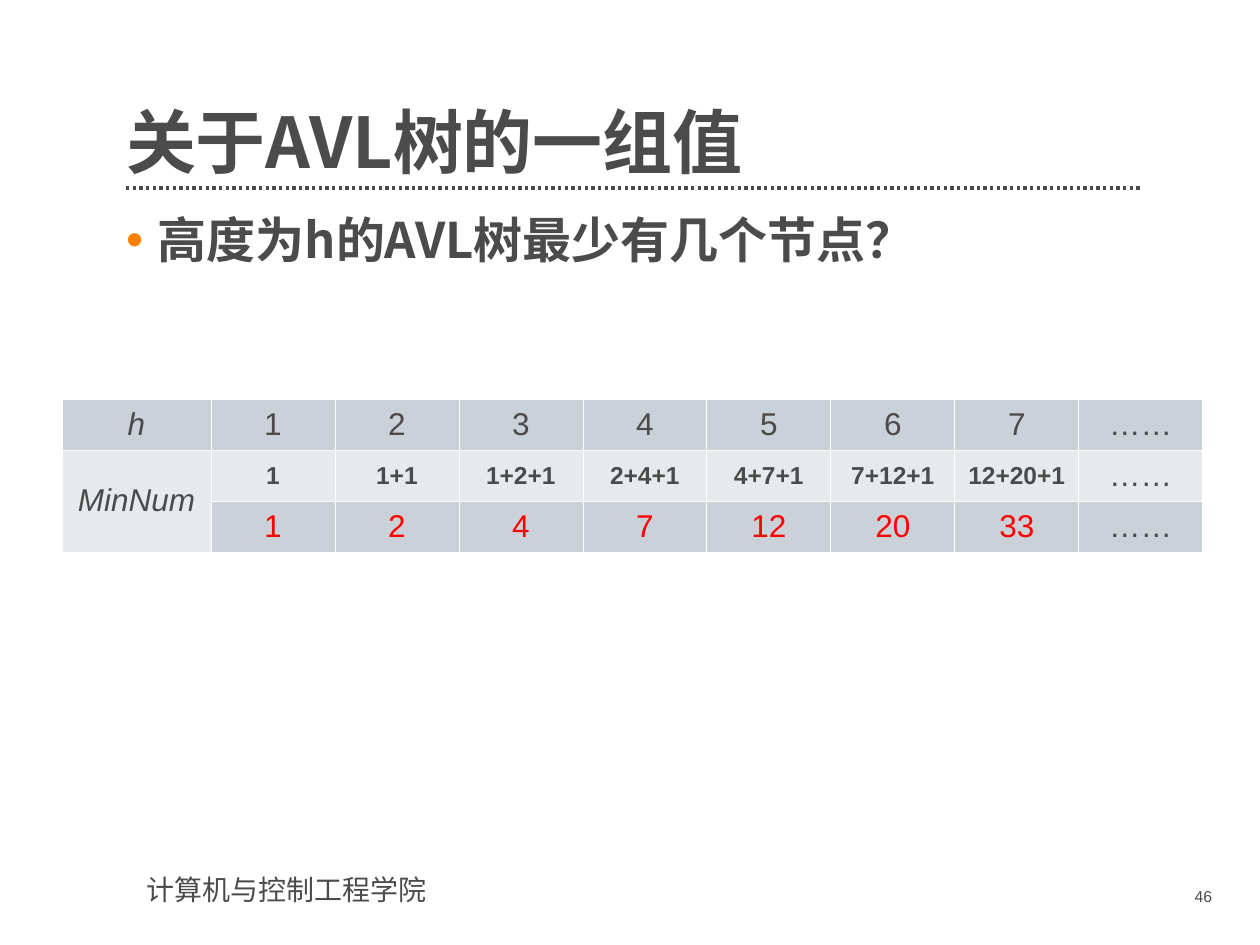
from lxml.etree import SubElement
from pptx import Presentation
from pptx.dml.color import RGBColor
from pptx.enum.dml import MSO_LINE
from pptx.enum.shapes import MSO_CONNECTOR
from pptx.enum.text import MSO_ANCHOR, PP_ALIGN
from pptx.oxml.ns import qn
from pptx.util import Pt

EMU_PER_PX = 914400 / 126
COLORS = {
    "text": "4B4B4B",
    "bullet": "FF8000",
    "result": "FF0000",
    "dark_row": "CBD1D9",
    "light_row": "E7EAED",
    "border": "FFFFFF",
}
HEADING_FONT = "Noto Sans CJK SC"
BODY_FONT = "Arial"

HEIGHTS = ["h", "1", "2", "3", "4", "5", "6", "7", "……"]
SUMS = ["MinNum", "1", "1+1", "1+2+1", "2+4+1", "4+7+1", "7+12+1", "12+20+1", "……"]
MINIMUMS = ["", "1", "2", "4", "7", "12", "20", "33", "……"]


def px(length):
    return round(length * EMU_PER_PX)


def rgb(name):
    return RGBColor.from_string(COLORS[name])


def add_run(paragraph, text, size, font=BODY_FONT, color="text", bold=False, italic=False):
    run = paragraph.add_run()
    run.text = text
    run.font.size = Pt(size)
    run.font.name = font
    run.font.bold = bold
    run.font.italic = italic
    run.font.color.rgb = rgb(color)
    SubElement(run.font._element, qn("a:ea"), typeface=font)


def add_text_frame(slide, box, margins):
    frame = slide.shapes.add_textbox(*map(px, box)).text_frame
    frame.word_wrap = True
    (frame.margin_left, frame.margin_top,
     frame.margin_right, frame.margin_bottom) = map(px, margins)
    return frame


def add_title(slide, left, top, width, height):
    title = add_text_frame(slide, (left, top, width, height), (0, 0, 0, 0))
    title.vertical_anchor = MSO_ANCHOR.BOTTOM
    heading = title.paragraphs[0]
    heading.line_spacing = 0.9
    add_run(heading, "关于AVL树的一组值", 40, HEADING_FONT, bold=True)

    # Dotted rule under the title
    rule_y = px(top + height + 4)
    rule = slide.shapes.add_connector(
        MSO_CONNECTOR.STRAIGHT, px(left), rule_y, px(left + width), rule_y)
    rule.line.color.rgb = rgb("text")
    rule.line.width = Pt(1.9)
    rule.line.dash_style = MSO_LINE.ROUND_DOT
    SubElement(rule._element.spPr, qn("a:effectLst"))


def add_question(slide, left, top, width, height):
    body = add_text_frame(slide, (left, top, width, height), (0, 0, 25, 0))
    question = body.paragraphs[0]
    properties = question._p.get_or_add_pPr()
    indent = px(32)
    properties.set("marL", str(indent))
    properties.set("indent", str(-indent))
    bullet_color = SubElement(properties, qn("a:buClr"))
    SubElement(bullet_color, qn("a:srgbClr"), val=COLORS["bullet"])
    SubElement(properties, qn("a:buFont"), typeface=BODY_FONT)
    SubElement(properties, qn("a:buChar"), char="•")
    add_run(question, "高度为h的AVL树最少有几个节点？", 28, HEADING_FONT, bold=True)


def style_cell(cell, fill):
    cell.vertical_anchor = MSO_ANCHOR.MIDDLE
    properties = cell._tc.get_or_add_tcPr()
    for side in ("lnL", "lnR", "lnT", "lnB"):
        border = SubElement(properties, qn(f"a:{side}"), w=str(Pt(0.45)))
        solid = SubElement(border, qn("a:solidFill"))
        SubElement(solid, qn("a:srgbClr"), val=COLORS["border"])
    cell.fill.solid()
    cell.fill.fore_color.rgb = rgb(fill)


def add_node_table(slide, left, top, width, height):
    rows = [
        (HEIGHTS, "dark_row", {"size": 18}),
        (SUMS, "light_row", {"size": 14, "bold": True}),
        (MINIMUMS, "dark_row", {"size": 18, "color": "result"}),
    ]
    last = len(HEIGHTS) - 1
    label_width = 149
    table = slide.shapes.add_table(
        len(rows), len(HEIGHTS), px(left), px(top), px(width), px(height)).table
    for index, column in enumerate(table.columns):
        column.width = px((width - label_width) / last if index else label_width)
    for row in table.rows:
        row.height = px(height / len(rows))

    for row_index, (texts, fill, value_style) in enumerate(rows):
        for column_index, text in enumerate(texts):
            cell = table.cell(row_index, column_index)
            style_cell(cell, fill if column_index else rows[min(row_index, 1)][1])
            if not text:
                continue
            if column_index == 0:
                style = {"size": 18, "italic": True}
            elif column_index == last:
                style = {"size": 18}
            else:
                style = value_style
            entry = cell.text_frame.paragraphs[0]
            entry.alignment = PP_ALIGN.CENTER
            add_run(entry, text, **style)
    table.cell(1, 0).merge(table.cell(2, 0))


def add_footer(slide, left, top, width, height):
    margins = (13, 6, 13, 6)
    # Department name
    department = add_text_frame(slide, (left, top, 348, height), margins)
    add_run(department.paragraphs[0], "计算机与控制工程学院", 16)

    # Page number
    number_width = 125
    number_box = (left + width - number_width, top + 14, number_width, 37)
    page_number = add_text_frame(slide, number_box, margins).paragraphs[0]
    page_number.alignment = PP_ALIGN.RIGHT
    add_run(page_number, "46", 9)


def main():
    presentation = Presentation()
    presentation.slide_width = px(1260)
    presentation.slide_height = px(945)
    slide = presentation.slides.add_slide(presentation.slide_layouts[6])
    add_title(slide, 126, 69, 1016, 115)
    add_question(slide, 126, 210, 1016, 630)
    add_node_table(slide, 62, 399, 1141, 153)
    add_footer(slide, 134, 867, 1091, 47)
    presentation.save("out.pptx")


if __name__ == "__main__":
    main()
